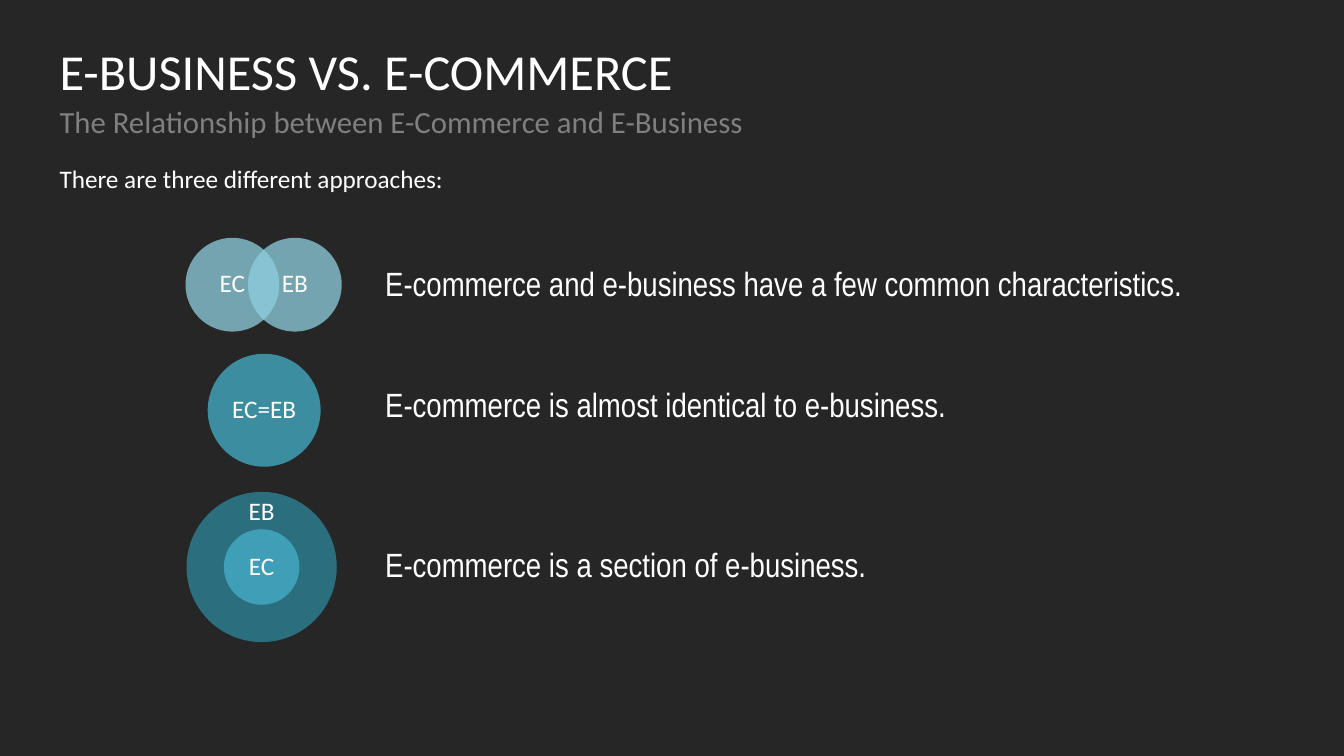
import dataclasses

import pptx
import pptx.dml.color
import pptx.enum.shapes
import pptx.enum.text
import pptx.oxml
import pptx.oxml.ns
import pptx.shapes.base
import pptx.text.text
import pptx.util
from pptx.dml.color import RGBColor
from pptx.util import Inches

BACKGROUND = RGBColor(0x26, 0x26, 0x26)
WHITE = RGBColor(0xFF, 0xFF, 0xFF)
GREY = RGBColor(0x7F, 0x7F, 0x7F)
DEEP_TEAL = RGBColor(0x2D, 0x89, 0x9F)
PALE_TEAL = RGBColor(0x8F, 0xD0, 0xE0)
TEAL = RGBColor(0x45, 0xB1, 0xCB)

ALIGN = pptx.enum.text.PP_ALIGN
ANCHOR = pptx.enum.text.MSO_ANCHOR
OPACITY = 74
LEFT, CONTENT_WIDTH = 0.59, 12.15
STATEMENT_LEFT = 3.82


@dataclasses.dataclass(frozen=True)
class TextStyle:
    size: float
    color: RGBColor = WHITE
    font: str = "Calibri"
    align: ALIGN = ALIGN.LEFT
    anchor: ANCHOR = ANCHOR.TOP
    inset: float = 0
    space_after: float = 10


@dataclasses.dataclass(frozen=True)
class Circle:
    left: float
    top: float
    diameter: float
    color: RGBColor
    label: str = ""


@dataclasses.dataclass(frozen=True)
class Label:
    text: str
    left: float
    top: float
    width: float
    height: float
    style: TextStyle


TITLE = TextStyle(36, space_after=0)
SUBTITLE = TextStyle(22, GREY)
INTRO = TextStyle(18)
STATEMENT = TextStyle(24, font="Arial Narrow")
CIRCLE_LABEL = TextStyle(18, align=ALIGN.CENTER, anchor=ANCHOR.MIDDLE, inset=0.04)
RING_LABEL = TextStyle(18, align=ALIGN.CENTER)

CIRCLES = [
    Circle(1.85, 4.88, 1.49, DEEP_TEAL),
    Circle(1.84, 2.36, 0.93, PALE_TEAL, "EC"),
    Circle(2.46, 2.36, 0.93, PALE_TEAL, "EB"),
    Circle(2.06, 3.51, 1.12, TEAL, "EC=EB"),
    Circle(2.22, 5.25, 0.75, TEAL, "EC"),
]
STATEMENTS = [
    (2.65, "E-commerce and e-business have a few common characteristics."),
    (3.85, "E-commerce is almost identical to e-business."),
    (5.44, "E-commerce is a section of e-business."),
]
LABELS = [
    Label("EB", 1.85, 4.95, 1.49, 0.27, RING_LABEL),
    Label("There are three different approaches:", LEFT, 1.65, CONTENT_WIDTH, 0.27, INTRO),
] + [
    Label(text, STATEMENT_LEFT, top, 8.92, 0.36, STATEMENT) for top, text in STATEMENTS
]


def apply_format(target: object, values: dict[str, object]) -> None:
    for attribute, value in values.items():
        setattr(target, attribute, value)


def write(frame: pptx.text.text.TextFrame, text: str, style: TextStyle) -> None:
    inset = Inches(style.inset)
    apply_format(frame, {
        "text": text,
        "word_wrap": True,
        "auto_size": pptx.enum.text.MSO_AUTO_SIZE.NONE,
        "vertical_anchor": style.anchor,
        "margin_left": inset,
        "margin_top": inset,
        "margin_right": inset,
        "margin_bottom": inset,
    })
    paragraph = frame.paragraphs[0]
    apply_format(paragraph, {
        "alignment": style.align,
        "line_spacing": 0.9,
        "space_before": pptx.util.Pt(0),
        "space_after": pptx.util.Pt(style.space_after),
    })
    font = paragraph.runs[0].font
    apply_format(font, {
        "name": style.font,
        "size": pptx.util.Pt(style.size),
        "bold": False,
    })
    font.color.rgb = style.color


def place(shape: pptx.shapes.base.BaseShape, left: float, top: float,
          width: float, height: float) -> None:
    apply_format(shape, {
        "left": Inches(left),
        "top": Inches(top),
        "width": Inches(width),
        "height": Inches(height),
    })


def draw_circle(slide: pptx.slide.Slide, circle: Circle) -> None:
    diameter = Inches(circle.diameter)
    disc = slide.shapes.add_shape(
        pptx.enum.shapes.MSO_SHAPE.OVAL,
        Inches(circle.left), Inches(circle.top), diameter, diameter,
    )
    disc.shadow.inherit = False
    disc.line.fill.background()
    disc.fill.solid()
    disc.fill.fore_color.rgb = circle.color
    color = disc.fill._xPr.find(".//" + pptx.oxml.ns.qn("a:srgbClr"))
    alpha = color.makeelement(pptx.oxml.ns.qn("a:alpha"), {"val": str(OPACITY * 1000)})
    color.append(alpha)
    if circle.label:
        write(disc.text_frame, circle.label, CIRCLE_LABEL)


def draw_label(slide: pptx.slide.Slide, label: Label) -> None:
    box = slide.shapes.add_textbox(
        Inches(label.left), Inches(label.top), Inches(label.width), Inches(label.height)
    )
    write(box.text_frame, label.text, label.style)


def main() -> None:
    deck = pptx.Presentation()
    deck.slide_width, deck.slide_height = Inches(13.33), Inches(7.5)
    slide = deck.slides.add_slide(deck.slide_layouts.get_by_name("Section Header"))
    slide.background.fill.solid()
    slide.background.fill.fore_color.rgb = BACKGROUND

    title, subtitle = slide.shapes.title, slide.placeholders[1]
    place(title, LEFT, 0.47, CONTENT_WIDTH, 1.18)
    write(title.text_frame, "E-BUSINESS VS. E-COMMERCE", TITLE)
    place(subtitle, LEFT, 1.06, CONTENT_WIDTH, 0.59)
    write(subtitle.text_frame, "The Relationship between E-Commerce and E-Business", SUBTITLE)

    for circle in CIRCLES:
        draw_circle(slide, circle)
    for label in LABELS:
        draw_label(slide, label)
    deck.save("out.pptx")


if __name__ == "__main__":
    main()
